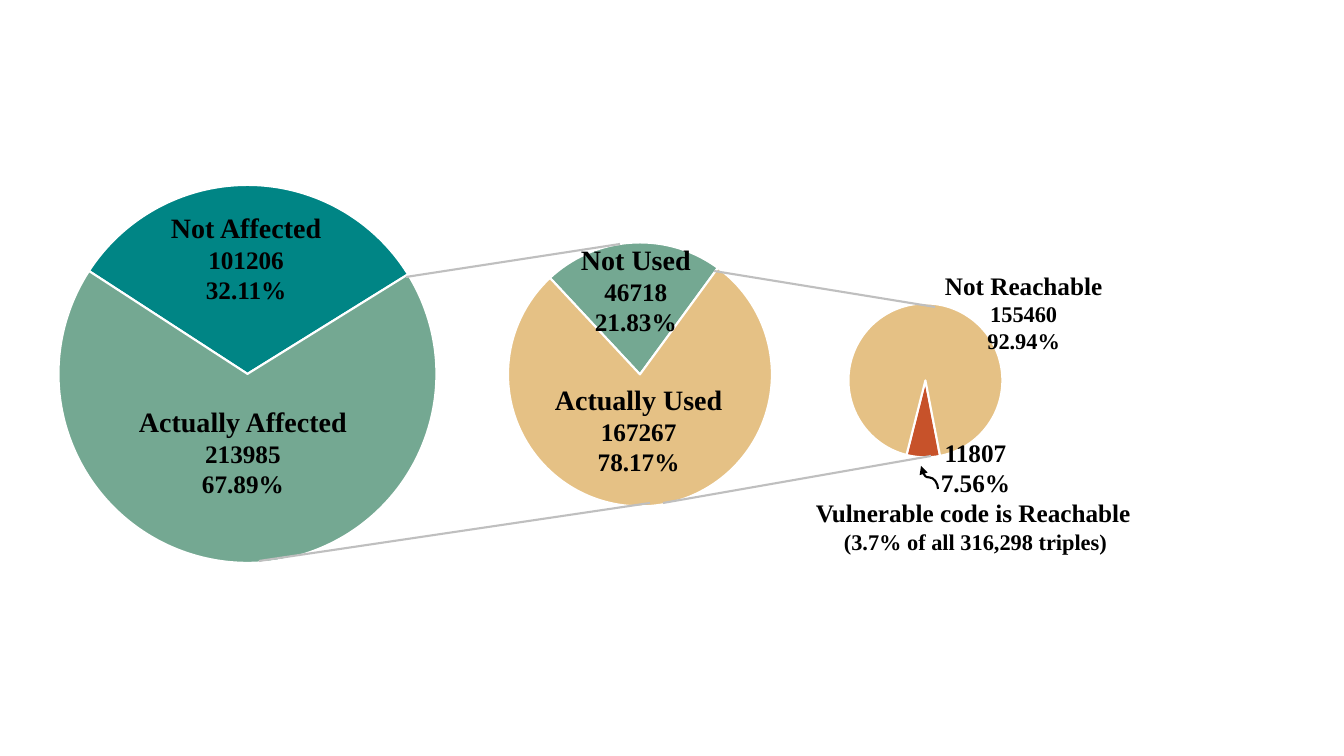
from lxml import etree
from pptx import Presentation
from pptx.chart.data import CategoryChartData
from pptx.dml.color import RGBColor
from pptx.enum.chart import XL_CHART_TYPE
from pptx.enum.shapes import MSO_CONNECTOR
from pptx.enum.text import MSO_AUTO_SIZE, PP_ALIGN
from pptx.oxml import parse_xml
from pptx.oxml.ns import nsdecls, qn
from pptx.util import Pt

PIE = XL_CHART_TYPE.PIE
STRAIGHT, CURVE = MSO_CONNECTOR.STRAIGHT, MSO_CONNECTOR.CURVE
LEFT, CENTER = PP_ALIGN.LEFT, PP_ALIGN.CENTER
FIT = MSO_AUTO_SIZE.SHAPE_TO_FIT_TEXT
SCALE = 914400 / 100.8


def px(*lengths):
    return [round(n * SCALE) for n in lengths]


def paint(color_format, hex_color):
    color_format.rgb = RGBColor.from_string(hex_color)


prs = Presentation()
prs.slide_width, prs.slide_height = px(1344, 756)
s = prs.slides.add_slide(prs.slide_layouts[6])

pies = [
    ((44, 155, 407, 438), 378, 303, (32, 68), ("008585", "74A892")),
    ((488, 228, 304, 293), 264, 317, (22, 78), ("74A892", "E5C185")),
    ((829, 289, 193, 183), 154, 169, (7, 93), ("C7522A", "E5C185")),
]
for box, diameter, start, values, colors in pies:
    data = CategoryChartData()
    data.categories = ["1", "2", "3", "4"]
    data.add_series("Series 1", values + (None, None))
    chart = s.shapes.add_chart(PIE, *px(*box), data).chart
    chart.has_legend = False
    chart.has_title = False
    chart.font.size = Pt(10)
    chart.font.name = "Noto Sans CJK SC"
    paint(chart.font.color, "000000")
    plot = chart.plots[0]
    plot.vary_by_categories = True
    for i, color in enumerate(colors + ("196B24", "0F9ED5")):
        fmt = plot.series[0].points[i].format
        fmt.fill.solid()
        paint(fmt.fill.fore_color, color)
        paint(fmt.line.color, "FFFFFF")
        fmt.line.width = Pt(1.5)
    pie = chart._chartSpace.find(".//" + qn("c:pieChart"))
    for old in pie.findall(qn("c:firstSliceAng")):
        pie.remove(old)
    etree.SubElement(pie, qn("c:firstSliceAng")).set("val", str(start))
    area = pie.getparent()
    for old in area.findall(qn("c:layout")):
        area.remove(old)
    w, h = diameter / box[2], diameter / box[3]
    area.insert(0, parse_xml(
        f'<c:layout {nsdecls("c")}><c:manualLayout><c:layoutTarget val="inner"/>'
        f'<c:xMode val="edge"/><c:yMode val="edge"/>'
        f'<c:x val="{(1 - w) / 2:.4f}"/><c:y val="{(1 - h) / 2:.4f}"/>'
        f'<c:w val="{w:.4f}"/><c:h val="{h:.4f}"/></c:manualLayout></c:layout>'))

lines = [
    (STRAIGHT, (406, 277, 620, 244), "BFBFBF"),
    (STRAIGHT, (259, 561, 650, 503), "BFBFBF"),
    (STRAIGHT, (714, 271, 935, 307), "BFBFBF"),
    (STRAIGHT, (663, 503, 931, 456), "BFBFBF"),
    (CURVE, (918, 486, 941, 469), "000000"),
]
for kind, ends, color in lines:
    line = s.shapes.add_connector(kind, *px(*ends))
    paint(line.line.color, color)
    line.line.width = Pt(1.5)
    sp_pr = line._element.spPr
    etree.SubElement(sp_pr, qn("a:effectLst"))
    if kind == CURVE:
        sp_pr.find(qn("a:xfrm")).set("rot", "16200000")
        etree.SubElement(sp_pr.find(qn("a:ln")), qn("a:tailEnd")).set("type", "triangle")

labels = [
    ((129, 400, 230, 105), [("Actually Affected", 20, LEFT), ("213985", 18, CENTER), ("67.89%", 18, CENTER)]),
    ((161, 206, 171, 105), [("Not Affected", 20, LEFT), ("101206", 18, CENTER), ("32.11%", 18, CENTER)]),
    ((571, 238, 131, 105), [("Not Used", 20, LEFT), ("46718", 18, CENTER), ("21.83%", 18, CENTER)]),
    ((545, 378, 190, 105), [("Actually Used", 20, LEFT), ("167267", 18, CENTER), ("78.17%", 18, CENTER)]),
    ((806, 432, 339, 129), [("11807", 18, CENTER), ("7.56%", 18, CENTER),
                            ("Vulnerable code is Reachable", 18, LEFT),
                            ("(3.7% of all 316,298 triples)", 16, CENTER)]),
    ((935, 265, 179, 95), [("Not Reachable", 18, LEFT), ("155460", 16, CENTER), ("92.94%", 16, CENTER)]),
]
for box, rows in labels:
    tf = s.shapes.add_textbox(*px(*box)).text_frame
    tf.word_wrap = False
    tf.auto_size = FIT
    for i, (text, size, align) in enumerate(rows):
        p = tf.add_paragraph() if i else tf.paragraphs[0]
        p.alignment = align
        r = p.add_run()
        r.text = text
        r.font.name = "Times New Roman"
        r.font.size = Pt(size)
        r.font.bold = True
        paint(r.font.color, "000000")

prs.save("out.pptx")
